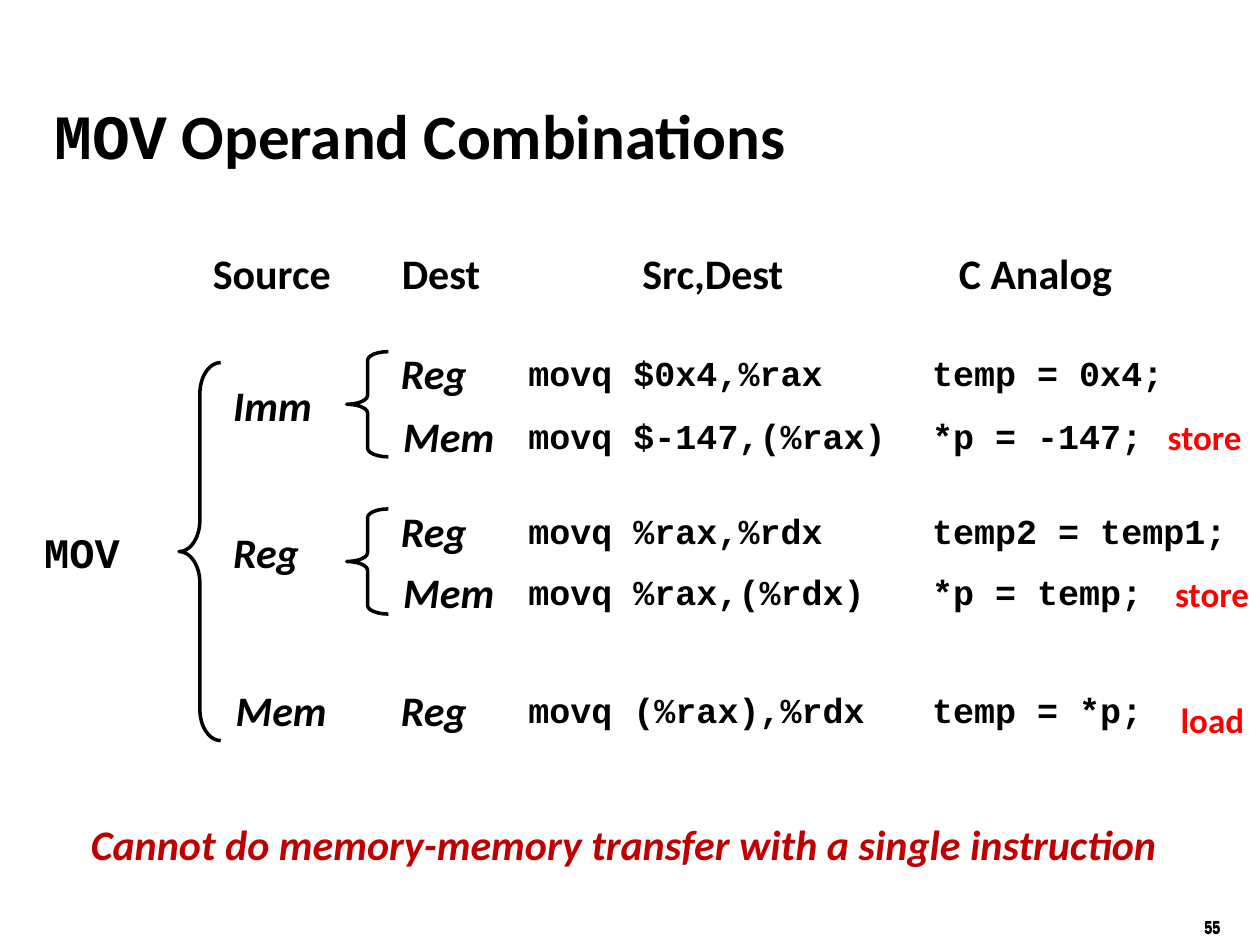
import pptx
import pptx.dml.color
import pptx.enum.shapes
import pptx.enum.text
import pptx.util
from pptx.util import Cm, Pt

SANS, MONO = "Calibri", "Courier New"
BLACK, RED, DARK_RED = "000000", "FF0000", "C00000"

TITLE = [("MOV", MONO), (" Operand Combinations", SANS)]
RULE = "Cannot do memory-memory transfer with a single instruction"

# text, left
HEADERS = [("Source", 4.04), ("Dest", 7.85), ("Src,Dest", 12.7), ("C Analog", 19.08)]
# text, top
SOURCES = [("Imm", 7.52), ("Reg", 10.49), ("Mem", 13.67)]
# top, destination, instruction, C analog
ROWS = [
    (6.88, "Reg", "movq $0x4,%rax", "temp = 0x4;"),
    (8.15, "Mem", "movq $-147,(%rax)", "*p = -147;"),
    (10.06, "Reg", "movq %rax,%rdx", "temp2 = temp1;"),
    (11.3, "Mem", "movq %rax,(%rdx)", "*p = temp;"),
    (13.67, "Reg", "movq (%rax),%rdx", "temp = *p;"),
]
# text, left, top
NOTES = [("store", 23.29, 8.25), ("store", 23.44, 11.42), ("load", 23.55, 13.96)]
# left, top, height, curl as a share of the width
BRACES = [(3.61, 7.31, 7.62, 0.75), (6.99, 7.09, 2.12, 0.21), (6.99, 10.26, 2.12, 0.21)]
PAGE_NUMBER_TOPS = [18.34, 18.37]

SOURCE_X, DEST_X, CODE_X, ANALOG_X = 4.45, 7.83, 10.4, 18.54
HEADER_Y, CODE_DROP, BRACE_W = 4.87, 0.08, 0.84
WIDTHS = {"Imm": 2.08, "Reg": 1.83, "Mem": 2.34, "Source": 2.9, "Dest": 2.08,
          "Src,Dest": 3.38, "C Analog": 3.58, "store": 2.01, "load": 1.78, "55": 1.9}
SLACK = 0.1


def rgb(color):
    return pptx.dml.color.RGBColor.from_string(color)


def add_run(p, text, font=SANS, size=24, color=BLACK, italic=False):
    r = p.add_run()
    r.text = text
    r.font.name, r.font.size = font, Pt(size)
    r.font.bold, r.font.italic = True, italic
    r.font.color.rgb = rgb(color)


def add_label(s, text, x, y, font=SANS, size=24, **style):
    """Add a one-line text box slightly wider than its text."""
    if font == MONO:
        width = Pt(0.6 * size * len(text)) + Cm(0.51)
    else:
        width = Cm(WIDTHS[text])
    height = Pt(1.22 * size) + Cm(0.25)
    tf = s.shapes.add_textbox(Cm(x), Cm(y), width + Cm(SLACK), height).text_frame
    tf.word_wrap = True
    tf.auto_size = pptx.enum.text.MSO_AUTO_SIZE.NONE
    add_run(tf.paragraphs[0], text, font=font, size=size, **style)


def add_operand(s, text, x, y):
    add_label(s, text, x + (0.05 if text == "Mem" else 0), y, italic=True)


def add_brace(s, x, y, height, curl):
    sp = s.shapes.add_shape(pptx.enum.shapes.MSO_SHAPE.LEFT_BRACE,
                            Cm(x), Cm(y), Cm(BRACE_W), Cm(height))
    sp.adjustments[0] = curl
    sp.shadow.inherit = False
    sp.fill.background()
    sp.line.color.rgb = rgb(BLACK)
    sp.line.width = Pt(2)


def add_title(s):
    sp = s.shapes.title
    sp.left, sp.top, sp.width, sp.height = Cm(0.84), Cm(1.9), Cm(19.91), Cm(1.6)
    tf = sp.text_frame
    tf.auto_size = pptx.enum.text.MSO_AUTO_SIZE.NONE
    tf.vertical_anchor = pptx.enum.text.MSO_ANCHOR.MIDDLE
    p = tf.paragraphs[0]
    p.alignment = pptx.enum.text.PP_ALIGN.LEFT
    for text, font in TITLE:
        add_run(p, text, font=font, size=36)


def add_rule(s):
    tf = s.shapes.add_textbox(Cm(1.27), Cm(16.51), Cm(22.61), Cm(1.47)).text_frame
    tf.word_wrap = True
    tf.margin_left = tf.margin_top = tf.margin_right = tf.margin_bottom = 0
    p = tf.paragraphs[0]
    p.alignment = pptx.enum.text.PP_ALIGN.CENTER
    add_run(p, RULE, color=DARK_RED, italic=True)


def main():
    prs = pptx.Presentation()
    prs.slide_width, prs.slide_height = Cm(25.4), Cm(19.05)
    s = prs.slides.add_slide(prs.slide_layouts[5])

    add_title(s)
    add_rule(s)
    add_label(s, "MOV", 0.64, 10.49, font=MONO)
    for text, x in HEADERS:
        add_label(s, text, x, HEADER_Y)
    for text, y in SOURCES:
        add_operand(s, text, SOURCE_X, y)
    for y, dest, code, analog in ROWS:
        add_operand(s, dest, DEST_X, y)
        add_label(s, code, CODE_X, y + CODE_DROP, font=MONO, size=20)
        add_label(s, analog, ANALOG_X, y + CODE_DROP, font=MONO, size=20)
    for brace in BRACES:
        add_brace(s, *brace)
    for text, x, y in NOTES:
        add_label(s, text, x, y, size=20, color=RED)
    for y in PAGE_NUMBER_TOPS:
        add_label(s, "55", 24.03, y, font="Arial Narrow", size=10)

    prs.save("out.pptx")


if __name__ == "__main__":
    main()
